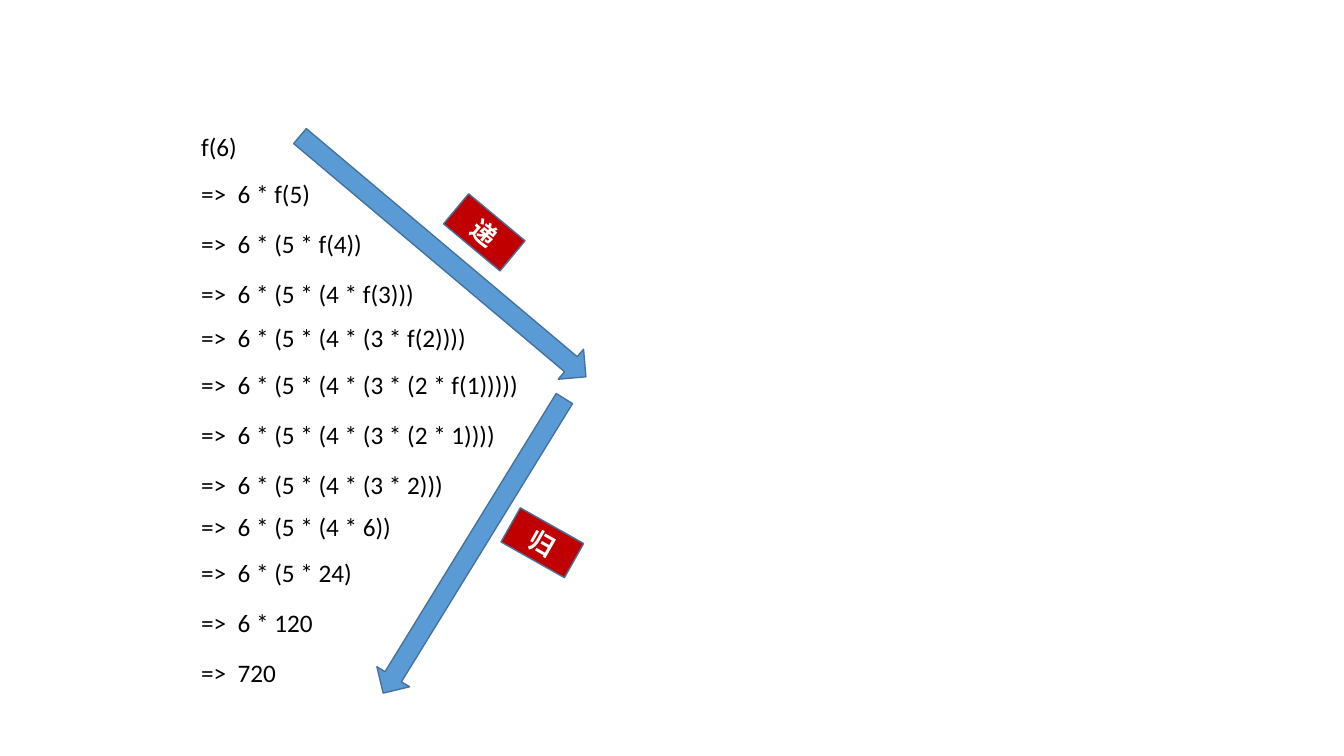
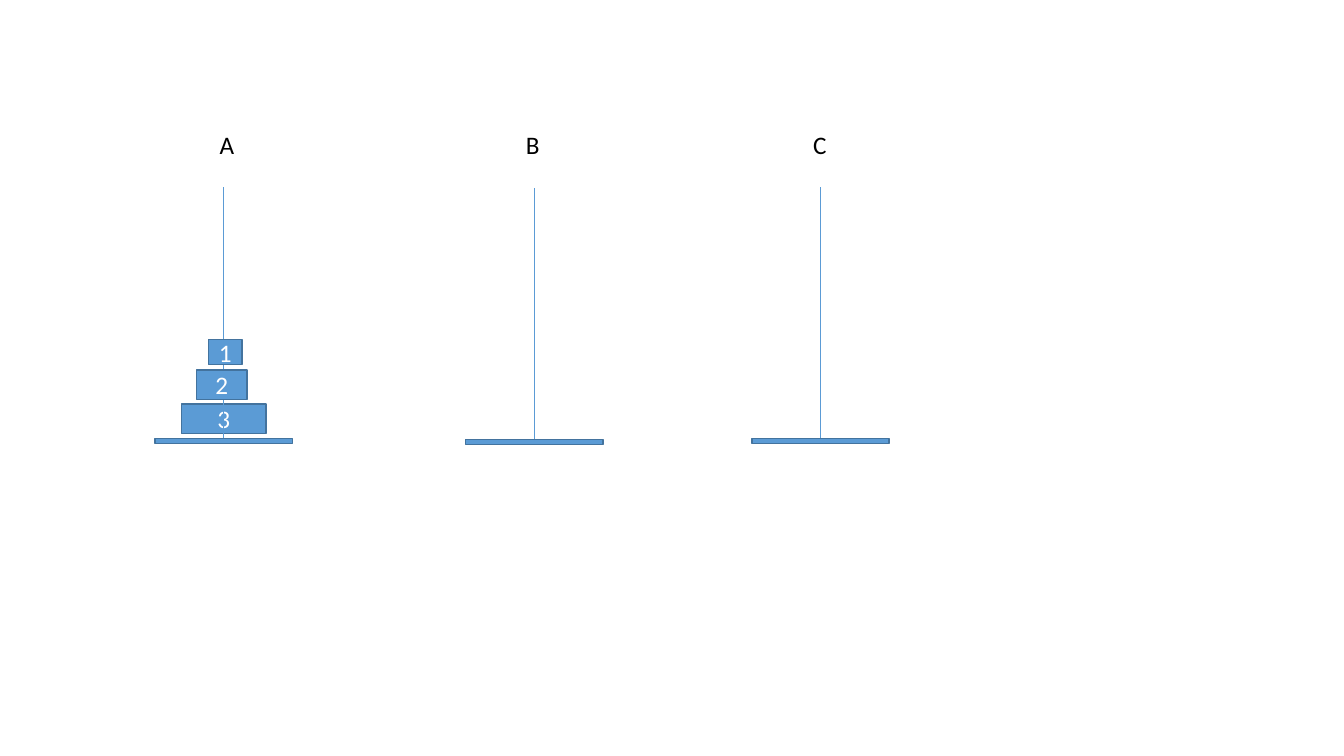
from lxml import etree
from pptx import Presentation
from pptx.dml.color import RGBColor
from pptx.enum.shapes import MSO_CONNECTOR, MSO_SHAPE
from pptx.enum.text import MSO_ANCHOR, MSO_AUTO_SIZE, PP_ALIGN
from pptx.oxml.ns import qn
from pptx.util import Pt

RECTANGLE = MSO_SHAPE.RECTANGLE
DOWN_ARROW = MSO_SHAPE.DOWN_ARROW
PROCESS = MSO_SHAPE.FLOWCHART_PROCESS
STRAIGHT = MSO_CONNECTOR.STRAIGHT
MIDDLE = MSO_ANCHOR.MIDDLE
CENTER = PP_ALIGN.CENTER
FIT_SHAPE = MSO_AUTO_SIZE.SHAPE_TO_FIT_TEXT

COLORS = {
    "text": "000000",
    "light": "FFFFFF",
    "blue": "5B9BD5",
    "outline": "43739E",
    "red": "C00000",
}
FONT = "Calibri"
TEXT_SIZE = 18
LINE_HEIGHT = 28.8

# Expression, top offset, box width
STEPS = [
    ("f(6)", 0, 212),
    ("=>  6 * f(5)", 33.8, 212),
    ("=>  6 * (5 * f(4))", 69.8, 212),
    ("=>  6 * (5 * (4 * f(3)))", 105.1, 212),
    ("=>  6 * (5 * (4 * (3 * f(2))))", 136.8, 212),
    ("=>  6 * (5 * (4 * (3 * (2 * f(1)))))", 170.6, 353.5),
    ("=>  6 * (5 * (4 * (3 * (2 * 1))))", 205.9, 325.5),
    ("=>  6 * (5 * (4 * (3 * 2)))", 241.9, 390),
    ("=>  6 * (5 * (4 * 6))", 271.4, 391),
    ("=>  6 * (5 * 24)", 304.6, 391),
    ("=>  6 * 120", 340.6, 368.5),
    ("=>  720", 375.8, 354),
]


def color(name):
    """Return the named colour."""
    return RGBColor.from_string(COLORS[name])


def style_text(frame, text, ink, bold=False):
    """Put one formatted line of text into a frame."""
    frame.text = text
    for span in frame.paragraphs[0].runs:
        span.font.name = FONT
        span.font.size = Pt(TEXT_SIZE)
        span.font.bold = bold
        span.font.color.rgb = color(ink)


def add_label(page, text, left, top, width, wrap=True):
    """Add a plain line of text."""
    box = page.shapes.add_textbox(Pt(left), Pt(top), Pt(width), Pt(LINE_HEIGHT))
    frame = box.text_frame
    style_text(frame, text, "text")
    frame.word_wrap = wrap
    frame.auto_size = FIT_SHAPE


def add_block(page, kind, left, top, width, height, text="", fill="blue",
              rotation=0, bold=False):
    """Add an outlined shape with optional centred text."""
    block = page.shapes.add_shape(kind, Pt(left), Pt(top), Pt(width), Pt(height))
    block.rotation = rotation
    block.shadow.inherit = False
    block.fill.solid()
    block.fill.fore_color.rgb = color(fill)
    block.line.color.rgb = color("outline")
    block.line.width = Pt(1)
    if text:
        frame = block.text_frame
        style_text(frame, text, "light", bold)
        frame.vertical_anchor = MIDDLE
        frame.paragraphs[0].alignment = CENTER


def add_rod(page, x, top, bottom):
    """Add a thin vertical line."""
    rod = page.shapes.add_connector(STRAIGHT, Pt(x), Pt(top), Pt(x), Pt(bottom))
    rod.line.color.rgb = color("blue")
    rod.line.width = Pt(0.5)
    etree.SubElement(rod.element.spPr, qn("a:effectLst"))


def add_steps(page, left, top):
    """List the expansion and reduction of the factorial."""
    for text, offset, width in STEPS:
        add_label(page, text, left, top + offset, width)


def add_phase(page, name, arrow, arrow_turn, tag, tag_turn):
    """Add a slanted arrow and the red tag that names it."""
    add_block(page, DOWN_ARROW, *arrow, rotation=arrow_turn)
    add_block(page, RECTANGLE, *tag, text=name, fill="red", rotation=tag_turn,
              bold=True)


def add_disk(page, number, center, top, width, height):
    """Add a numbered disk centred on a given x."""
    add_block(page, RECTANGLE, center - width / 2, top, width, height, str(number))


def add_tower(page, center, top, base_width=98, height=179.3):
    """Add a tower: a base and the rod standing on it."""
    base_top = top + height
    add_block(page, PROCESS, center - base_width / 2, base_top, base_width, 3.6)
    add_rod(page, center, top, base_top)


def build_recursion(page):
    """Build the slide on the two phases of recursion."""
    add_steps(page, 136.6, 90)
    add_phase(page, "递", (302.4, 49.7, 28, 267), 310.1,
              (319.7, 152, 52.5, 28), 39.8)
    add_phase(page, "归", (324.7, 266.4, 27.4, 247), 31.6,
              (361.4, 373.7, 52, 28), 29.4)


def build_hanoi(page):
    """Build the slide with three towers and three disks."""
    add_disk(page, 3, 159.8, 288.7, 60.5, 21)
    for center, top in ((159.8, 133.9), (381.6, 134.6), (586.1, 133.9)):
        add_tower(page, center, top)
    add_disk(page, 2, 158.4, 264.2, 36, 21)
    add_disk(page, 1, 160.9, 242.6, 23.8, 18)
    for name, left in (("A", 149.8), ("B", 368.6), ("C", 573.8)):
        add_label(page, name, left, 88.6, 25, wrap=False)


def main():
    """Build and save the deck."""
    deck = Presentation()
    deck.slide_width, deck.slide_height = Pt(960), Pt(540)
    blank = deck.slide_layouts[6]
    for build in (build_recursion, build_hanoi):
        build(deck.slides.add_slide(blank))
    deck.save("out.pptx")


main()
